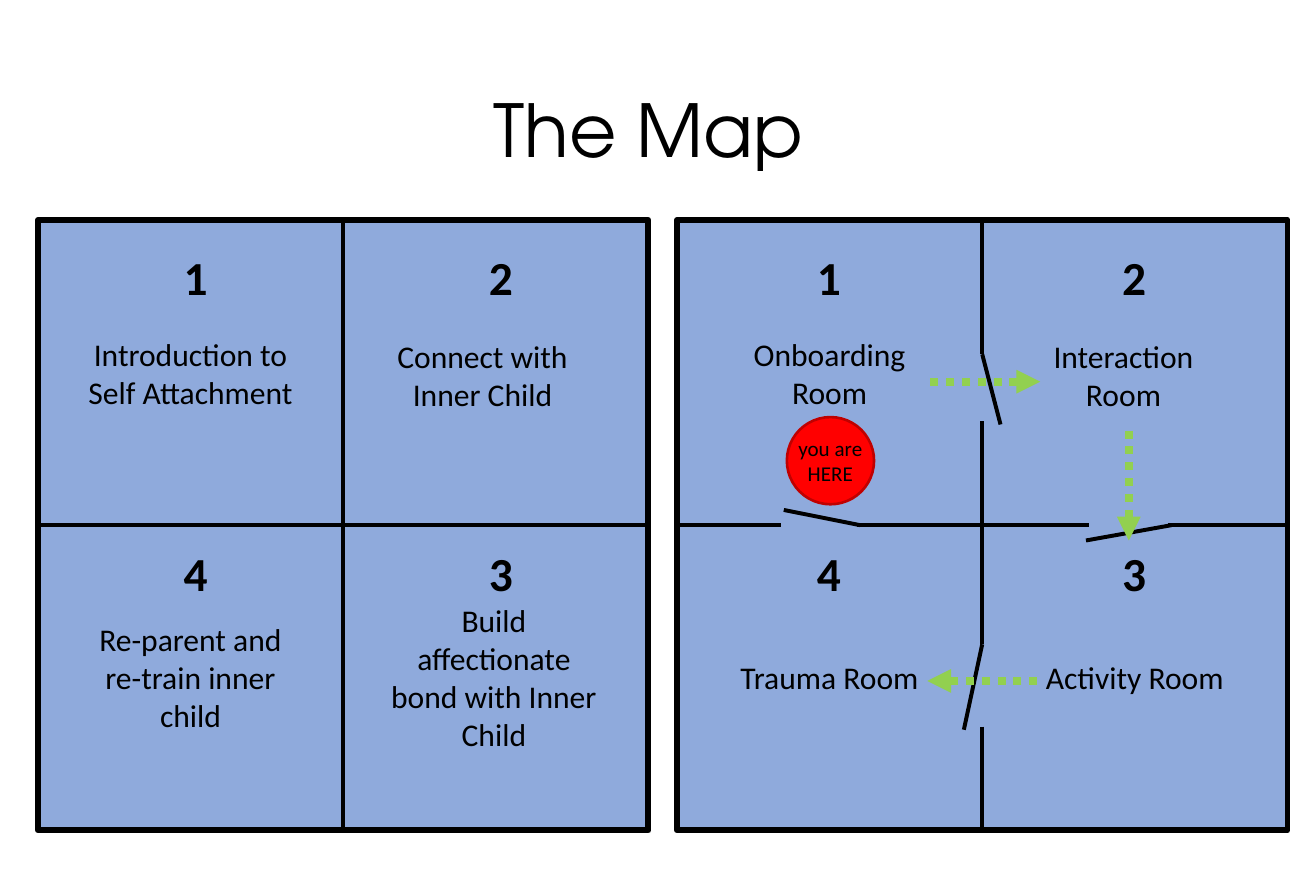
import pptx
import pptx.dml.color
import pptx.enum.dml
import pptx.enum.shapes
import pptx.enum.text
import pptx.oxml
import pptx.oxml.ns
import pptx.util

inch = pptx.util.Inches
shapes = pptx.enum.shapes.MSO_SHAPE
cell = 1.61  # side of one room
top = 1.16
plan = 3.57  # left edge of the right map


def paint(tone):
    return pptx.dml.color.RGBColor.from_string(tone)


def write(shape, text, size=12, font="Calibri", bold=False, wrap=True, space=None):
    frame = shape.text_frame
    frame.word_wrap = wrap
    frame.text = text
    for para in frame.paragraphs:
        para.alignment = pptx.enum.text.PP_ALIGN.CENTER
        para.line_spacing = space
        para.font.size = pptx.util.Pt(size)
        para.font.name = font
        para.font.bold = bold
        para.font.color.rgb = paint("000000")


deck = pptx.Presentation()
deck.slide_width, deck.slide_height = inch(6.94), inch(4.72)
slide = deck.slides.add_slide(deck.slide_layouts[5])
items = slide.shapes

# Title
title = items.title
title.left, title.top, title.width, title.height = map(inch, (0.48, 0.25, 5.99, 0.91))
write(title, "The Map ", size=27.7, font="TeX Gyre Adventor", space=0.9)
title.text_frame.auto_size = pptx.enum.text.MSO_AUTO_SIZE.NONE
title.text_frame.vertical_anchor = pptx.enum.text.MSO_ANCHOR.MIDDLE

# Maps: left edge, number inset, then each room's caption, its lines, x and y inset
maps = [
    (0.2, 0.67, [
        ("Introduction to Self Attachment", 2, 0.16, 0.56),
        ("Connect with Inner Child", 2, 0.09, 0.57),
        ("Build affectionate bond with Inner Child", 4, 0.15, 0.35),
        ("Re-parent and re-train inner child", 3, 0.16, 0.45)]),
    (plan, 0.64, [
        ("Onboarding Room", 2, 0.16, 0.56),
        ("Interaction Room", 2, 0.1, 0.57),
        ("Activity Room", 1, 0.16, 0.65),
        ("Trauma Room", 1, 0.16, 0.65)]),
]
spots = [(0, 0), (1, 0), (1, 1), (0, 1)]  # rooms run clockwise

for left, inset, rooms in maps:
    square = items.add_shape(shapes.RECTANGLE, inch(left), inch(top),
                             inch(2 * cell), inch(2 * cell))
    square.shadow.inherit = False
    square.fill.solid()
    square.fill.fore_color.rgb = paint("8FAADC")
    square.line.color.rgb = paint("000000")
    square.line.width = pptx.util.Pt(2.25)
    for num, ((col, row), room) in enumerate(zip(spots, rooms), 1):
        text, lines, dx, dy = room
        x, y = left + col * cell, top + row * cell
        box = items.add_textbox(inch(x + dx), inch(y + dy),
                                inch(1.29), inch(0.1 + 0.2 * lines))
        write(box, text)
        box = items.add_textbox(inch(x + inset), inch(y + 0.1 - 0.05 * row),
                                inch(0.27), inch(0.4))
        write(box, str(num), size=18, bold=True, wrap=False)

# Marker for the current room
mark = items.add_shape(shapes.OVAL, inch(4.15), inch(2.2), inch(0.46), inch(0.46))
mark.shadow.inherit = False
mark.fill.solid()
mark.fill.fore_color.rgb = paint("FF0000")
mark.line.color.rgb = paint("C00000")
mark.line.width = pptx.util.Pt(1)
write(mark, "you are\nHERE", size=8, wrap=False)
frame = mark.text_frame
frame.margin_left = frame.margin_right = frame.margin_top = frame.margin_bottom = 0
frame.vertical_anchor = pptx.enum.text.MSO_ANCHOR.MIDDLE

# Lines in cells from a map's top left corner: x1, y1, x2, y2
cross = [(1, 0, 1, 2), (0, 1, 2, 1)]
walls = [
    (1, 0, 1, 0.44), (1, 0.66, 1, 1.39), (1, 1.66, 1, 2),
    (0, 1, 0.34, 1), (0.59, 1, 1.35, 1), (1.61, 1, 2, 1),
]
doors = [
    (1, 0.44, 1.06, 0.67), (1, 1.39, 0.94, 1.67),
    (1.62, 1, 1.34, 1.05), (0.6, 1, 0.35, 0.95),
]
paths = [
    (0.83, 0.53, 1.19, 0.53), (1.48, 0.69, 1.48, 1.05), (1.18, 1.51, 0.82, 1.51),
]
groups = [
    (0.2, cross, "000000", 1.5, False),
    (plan, walls + doors, "000000", 1.5, False),
    (plan, paths, "92D050", 3, True),
]
for left, lines, tone, width, arrow in groups:
    for x1, y1, x2, y2 in lines:
        line = items.add_connector(
            pptx.enum.shapes.MSO_CONNECTOR.STRAIGHT,
            inch(left + x1 * cell), inch(top + y1 * cell),
            inch(left + x2 * cell), inch(top + y2 * cell))
        line.line.color.rgb = paint(tone)
        line.line.width = pptx.util.Pt(width)
        props = line._element.spPr
        if arrow:
            line.line.dash_style = pptx.enum.dml.MSO_LINE.ROUND_DOT
            head = pptx.oxml.parse_xml(
                f'<a:tailEnd {pptx.oxml.ns.nsdecls("a")} type="triangle"/>')
            props.find(pptx.oxml.ns.qn("a:ln")).append(head)
        props.append(pptx.oxml.parse_xml(
            f'<a:effectLst {pptx.oxml.ns.nsdecls("a")}/>'))

deck.save("out.pptx")
